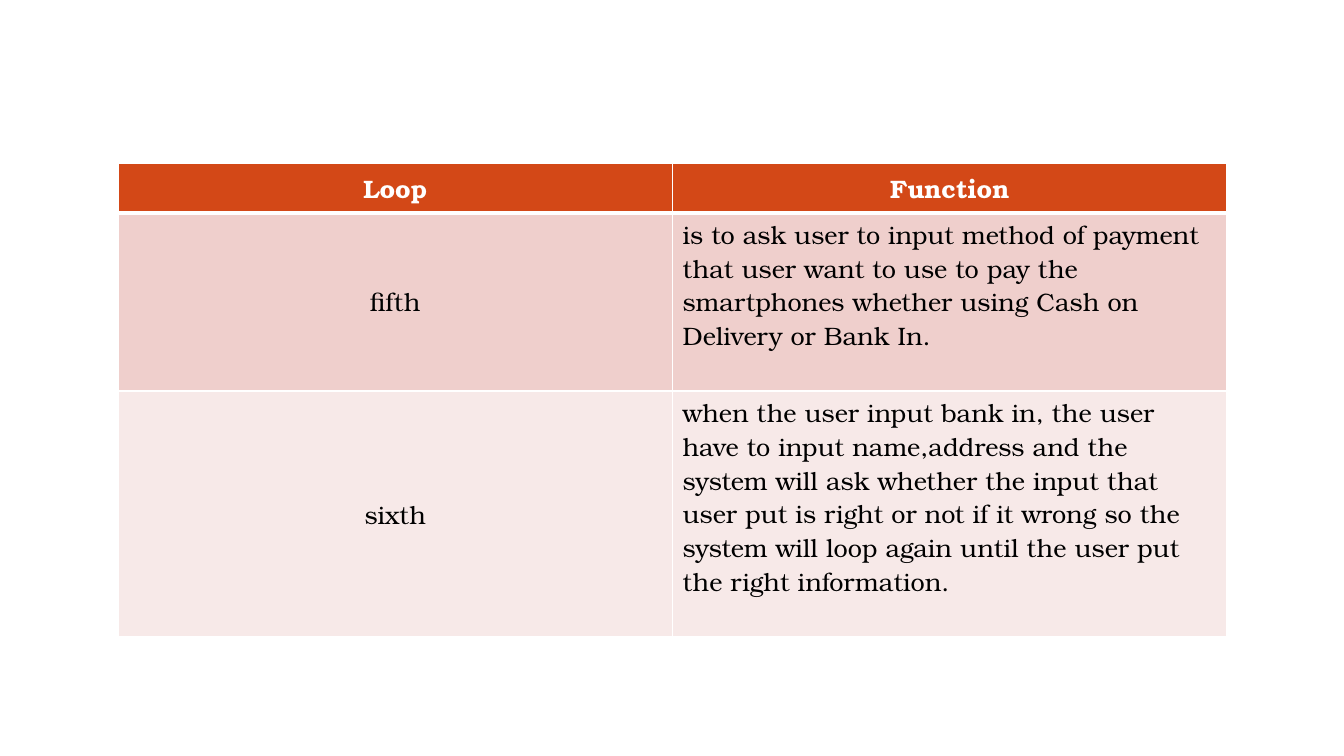
"""Build a slide with a table that explains the fifth and sixth loops."""
from dataclasses import dataclass

from lxml.etree import SubElement
from pptx import Presentation
from pptx.dml.color import RGBColor
from pptx.enum.shapes import MSO_SHAPE as SHAPE
from pptx.enum.text import MSO_ANCHOR as ANCHOR, PP_ALIGN as ALIGN
from pptx.oxml.ns import qn
from pptx.slide import Slide
from pptx.table import _Cell as Cell
from pptx.util import Inches, Pt

WHITE = RGBColor(0xFF, 0xFF, 0xFF)
BLACK = RGBColor(0x00, 0x00, 0x00)
ORANGE = RGBColor(0xD3, 0x48, 0x17)
PINK = RGBColor(0xEF, 0xCF, 0xCC)
PALE_PINK = RGBColor(0xF7, 0xE9, 0xE8)
FONT = "TeX Gyre Bonum"


@dataclass
class LoopRow:
    loop: str
    function: str
    height: float
    fill: RGBColor
    header: bool = False


ROWS = [
    LoopRow("Loop", "Function", 0.49, ORANGE, header=True),
    LoopRow(
        "fifth",
        "is to ask user to input method of payment that user want to use to pay "
        "the smartphones whether using Cash on Delivery or Bank In.",
        1.77, PINK),
    LoopRow(
        "sixth",
        "when the user input bank in, the user have to input name,address and the "
        "system will ask whether the input that user put is right or not if it "
        "wrong so the system will loop again until the user put the right "
        "information.",
        2.44, PALE_PINK),
]


def add_number_ring(slide: Slide) -> None:
    sp = slide.shapes.add_shape(
        SHAPE.OVAL, Inches(12.5), Inches(6.84), Inches(0.44), Inches(0.44))
    sp.shadow.inherit = False
    sp.fill.background()
    sp.line.color.rgb = WHITE
    sp.line.width = Pt(1)


def set_borders(cell: Cell, bottom: float) -> None:
    tc_pr = cell._tc.get_or_add_tcPr()
    sides = {"a:lnL": 1, "a:lnR": 1, "a:lnT": 1, "a:lnB": bottom}
    for i, (tag, width) in enumerate(sides.items()):
        ln = SubElement(tc_pr, qn(tag), w=str(Pt(width)))
        fill = SubElement(ln, qn("a:solidFill"))
        SubElement(fill, qn("a:srgbClr"), val=str(WHITE))
        tc_pr.insert(i, ln)


def fill_cell(cell: Cell, text: str, row: LoopRow, centered: bool) -> None:
    cell.fill.solid()
    cell.fill.fore_color.rgb = row.fill
    cell.vertical_anchor = ANCHOR.MIDDLE if centered else ANCHOR.TOP
    p = cell.text_frame.paragraphs[0]
    p.text = text
    p.alignment = ALIGN.CENTER if centered else ALIGN.LEFT
    font = p.runs[0].font
    font.name = FONT
    font.size = Pt(18)
    font.bold = row.header
    font.color.rgb = WHITE if row.header else BLACK
    set_borders(cell, 3 if row.header else 1)


def main() -> None:
    prs = Presentation()
    prs.slide_width, prs.slide_height = Inches(13.33), Inches(7.5)
    slide = prs.slides.add_slide(prs.slide_layouts[6])
    add_number_ring(slide)
    height = sum(row.height for row in ROWS)
    table = slide.shapes.add_table(
        len(ROWS), 2, Inches(1.17), Inches(1.62), Inches(11), Inches(height)).table
    for i, row in enumerate(ROWS):
        table.rows[i].height = Inches(row.height)
        fill_cell(table.cell(i, 0), row.loop, row, centered=True)
        fill_cell(table.cell(i, 1), row.function, row, centered=row.header)
    prs.save("out.pptx")


if __name__ == "__main__":
    main()
